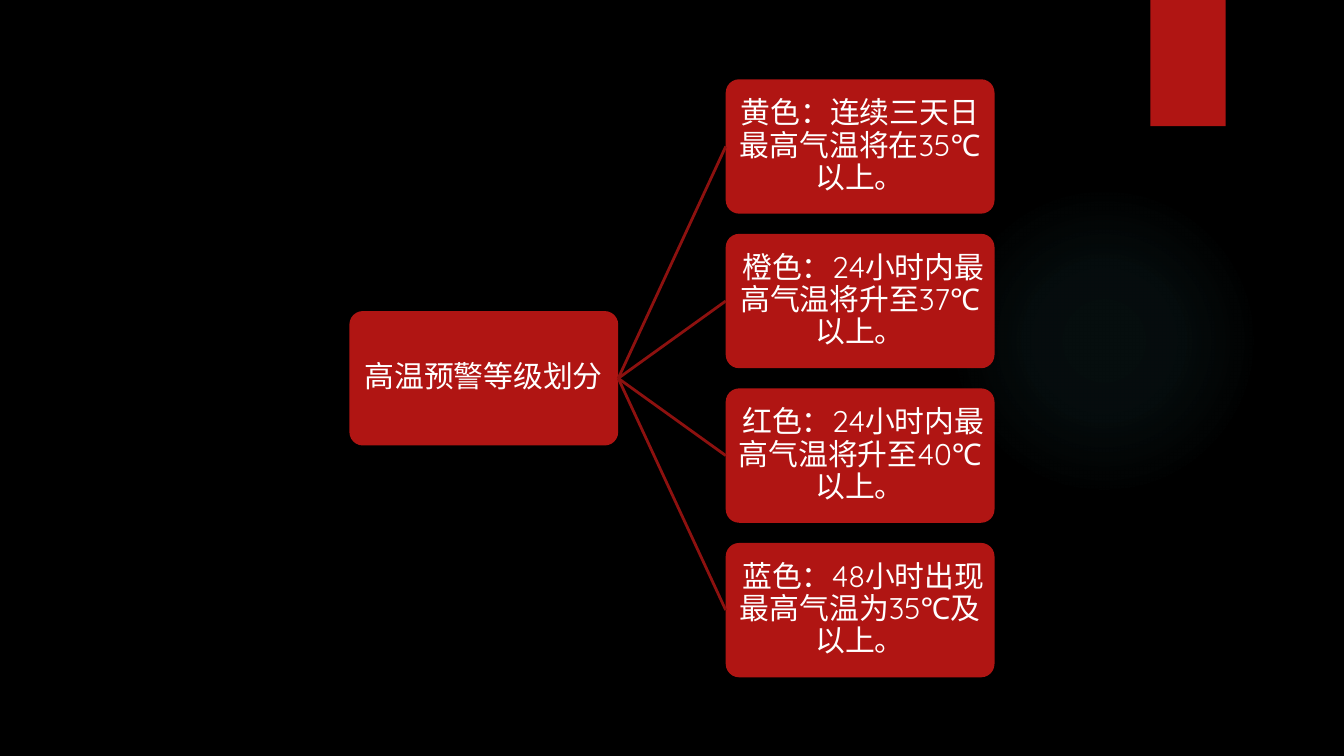
from lxml import etree
from pptx import Presentation
from pptx.dml.color import RGBColor
from pptx.enum.shapes import MSO_CONNECTOR, MSO_SHAPE
from pptx.enum.text import MSO_ANCHOR, PP_ALIGN
from pptx.oxml import parse_xml
from pptx.oxml.ns import nsdecls, qn
from pptx.util import Inches, Pt

COLORS = {"background": "000000", "red": "B01513", "branch": "8D110F",
          "glow": "50B9C1", "text": "FFFFFF"}
FONT = "Quicksand"
NODE_WIDTH, NODE_HEIGHT = 2, 1
ROW_PITCH = 1.15

ROOT = "高温预警等级划分"
LEVELS = [
    "黄色：连续三天日最高气温将在35℃以上。",
    " 橙色：24小时内最高气温将升至37℃以上。",
    " 红色：24小时内最高气温将升至40℃以上。",
    " 蓝色：48小时出现最高气温为35℃及以上。",
]


def color(name):
    return RGBColor.from_string(COLORS[name])


def add_solid(slide, preset, left, top, width, height):
    shape = slide.shapes.add_shape(
        preset, Inches(left), Inches(top), Inches(width), Inches(height))
    shape.shadow.inherit = False
    shape.fill.solid()
    shape.fill.fore_color.rgb = color("red")
    shape.line.fill.background()
    return shape


def add_glow(slide, left, top, size):
    """Circle that fades from its centre to full transparency."""
    glow = add_solid(slide, MSO_SHAPE.OVAL, left, top, size, size)
    stops = "".join(
        f'<a:gs pos="{position * 1000}"><a:srgbClr val="{COLORS["glow"]}">'
        f'<a:alpha val="{alpha * 1000}"/></a:srgbClr></a:gs>'
        for position, alpha in [(0, 7), (36, 6), (69, 0)])
    gradient = parse_xml(
        f'<a:gradFill {nsdecls("a")}><a:gsLst>{stops}</a:gsLst>'
        '<a:path path="circle"><a:fillToRect l="50000" t="50000" '
        'r="50000" b="50000"/></a:path></a:gradFill>')
    properties = glow._element.spPr
    properties.replace(properties.find(qn("a:solidFill")), gradient)


def add_node(slide, left, top, text):
    node = add_solid(slide, MSO_SHAPE.ROUNDED_RECTANGLE,
                     left, top, NODE_WIDTH, NODE_HEIGHT)
    node.adjustments[0] = 0.1
    frame = node.text_frame
    frame.word_wrap = True
    frame.vertical_anchor = MSO_ANCHOR.MIDDLE
    frame.margin_left = frame.margin_right = Inches(0.01)
    frame.margin_top = frame.margin_bottom = Inches(0.01)
    paragraph = frame.paragraphs[0]
    paragraph.text = text
    paragraph.alignment = PP_ALIGN.CENTER
    paragraph.line_spacing = 0.9
    paragraph.font.name = FONT
    paragraph.font.size = Pt(16)
    paragraph.font.color.rgb = color("text")
    return node


def add_branch(slide, parent, child):
    branch = slide.shapes.add_connector(MSO_CONNECTOR.STRAIGHT, 0, 0, 0, 0)
    branch.begin_connect(parent, 3)
    branch.end_connect(child, 1)
    branch.line.color.rgb = color("branch")
    branch.line.width = Pt(1.5)
    etree.SubElement(branch._element.spPr, qn("a:effectLst"))


def add_tree(slide, left, top, column_pitch):
    """Root node, centred beside a column of level nodes."""
    root_top = top + ROW_PITCH * (len(LEVELS) - 1) / 2
    root = add_node(slide, left, root_top, ROOT)
    for row, text in enumerate(LEVELS):
        level = add_node(slide, left + column_pitch, top + row * ROW_PITCH, text)
        add_branch(slide, root, level)


def main():
    presentation = Presentation()
    presentation.slide_width = Inches(10)
    presentation.slide_height = presentation.slide_width * 9 // 16
    slide = presentation.slides.add_slide(presentation.slide_layouts[6])
    slide.background.fill.solid()
    slide.background.fill.fore_color.rgb = color("background")

    add_glow(slide, 7.06, 1.38, 2.31)
    add_solid(slide, MSO_SHAPE.RECTANGLE, 8.56, 0, 0.56, 0.94)
    add_tree(slide, 2.6, 0.59, 2.8)
    presentation.save("out.pptx")


if __name__ == "__main__":
    main()
